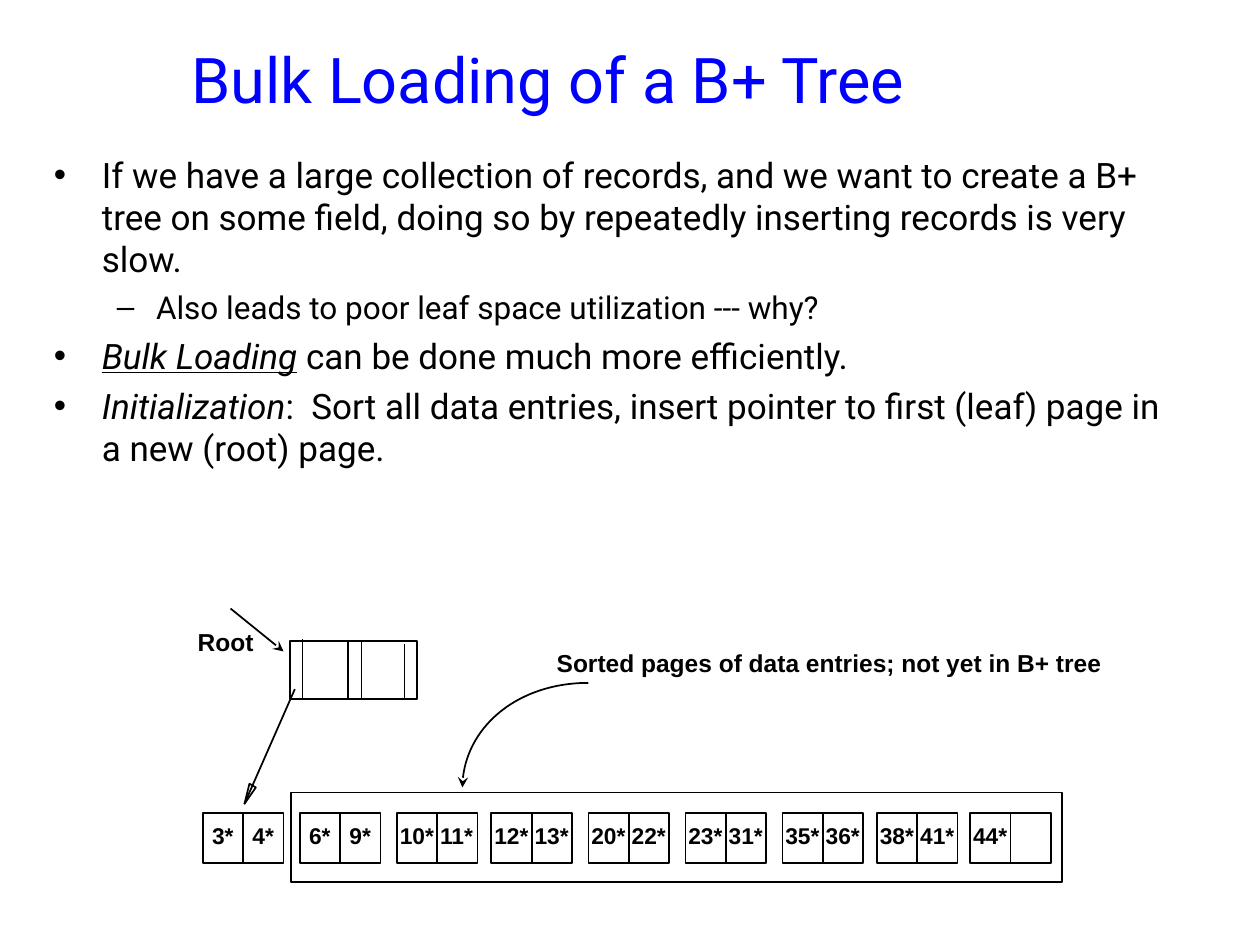
from dataclasses import dataclass

from lxml import etree
from pptx import Presentation
from pptx.dml.color import RGBColor
from pptx.enum.shapes import MSO_CONNECTOR as Conn, MSO_SHAPE as Shape
from pptx.enum.text import MSO_ANCHOR as Anchor, MSO_AUTO_SIZE as AutoSize
from pptx.oxml.ns import qn
from pptx.util import Inches, Pt


@dataclass(frozen=True)
class Theme:
    black: RGBColor = RGBColor(0, 0, 0)
    blue: RGBColor = RGBColor(0, 0, 255)
    text_font: str = "Roboto"
    diagram_font: str = "Arial"
    title: int = 36
    body: int = 20
    sub: int = 18
    label: int = 14
    entry: int = 13
    line: int = 1


T = Theme()

# Runs are (text, italic, underline); each paragraph starts with its level.
BODY = [
    (0, [("If we have a large collection of records, and we want to create a B+ "
          "tree on some field, doing so by repeatedly inserting records is very "
          "slow.", False, False)]),
    (1, [("Also leads to poor leaf space utilization --- why?", False, False)]),
    (0, [("Bulk Loading", True, True), (" ", True, False),
         ("can be done much more efficiently.", False, False)]),
    (0, [("Initialization", True, False),
         (":  Sort all data entries, insert pointer to first (leaf) page in "
          "a new (root) page.", False, False)]),
]
# Bullet, left margin, hanging indent, size, space before
LEVELS = [("•", 0.38, 0.38, T.body, 5), ("–", 0.81, 0.31, T.sub, 4.5)]

# Left edge of each leaf page and its entries
PAGES = [
    (1.61, ["3*", "4*"]), (2.38, ["6*", "9*"]), (3.15, ["10*", "11*"]),
    (3.9, ["12*", "13*"]), (4.67, ["20*", "22*"]), (5.44, ["23*", "31*"]),
    (6.21, ["35*", "36*"]), (6.96, ["38*", "41*"]), (7.7, ["44*"]),
]


def style_run(r, size, font, color=T.black, bold=False):
    r.font.size = Pt(size)
    r.font.name = font
    r.font.color.rgb = color
    r.font.bold = bold


def outline(sp):
    sp.shadow.inherit = False
    sp.fill.background()
    sp.line.color.rgb = T.black
    sp.line.width = Pt(T.line)
    return sp


def add_arrowhead(sp, end):
    etree.SubElement(sp.line._get_or_add_ln(), qn(f"a:{end}"), type="stealth")


def add_rect(s, x, y, w, h):
    return outline(s.shapes.add_shape(
        Shape.RECTANGLE, Inches(x), Inches(y), Inches(w), Inches(h)))


def add_line(s, x1, y1, x2, y2):
    c = s.shapes.add_connector(
        Conn.STRAIGHT, Inches(x1), Inches(y1), Inches(x2), Inches(y2))
    c.line.color.rgb = T.black
    c.line.width = Pt(T.line)
    etree.SubElement(c._element.spPr, qn("a:effectLst"))
    return c


def add_label(s, x, y, w, h, text, size):
    tf = s.shapes.add_textbox(Inches(x), Inches(y), Inches(w), Inches(h)).text_frame
    tf.word_wrap = False
    tf.auto_size = AutoSize.SHAPE_TO_FIT_TEXT
    tf.text = text
    style_run(tf.paragraphs[0].runs[0], size, T.diagram_font, bold=True)


def add_title(s, x, y, w, h):
    tf = s.shapes.add_textbox(Inches(x), Inches(y), Inches(w), Inches(h)).text_frame
    tf.word_wrap = True
    tf.vertical_anchor = Anchor.MIDDLE
    tf.text = "Bulk Loading of a B+ Tree"
    style_run(tf.paragraphs[0].runs[0], T.title, T.text_font, T.blue)


def add_body(s, x, y, w, h):
    tf = s.shapes.add_textbox(Inches(x), Inches(y), Inches(w), Inches(h)).text_frame
    tf.word_wrap = True
    for i, (level, runs) in enumerate(BODY):
        p = tf.add_paragraph() if i else tf.paragraphs[0]
        bullet, margin, hang, size, before = LEVELS[level]
        p.level = level
        p.space_before = Pt(before)
        pPr = p._p.get_or_add_pPr()
        pPr.set("marL", str(Inches(margin)))
        pPr.set("indent", str(-Inches(hang)))
        etree.SubElement(pPr, qn("a:buFont"), typeface=T.diagram_font)
        etree.SubElement(pPr, qn("a:buChar"), char=bullet)
        for text, italic, underline in runs:
            r = p.add_run()
            r.text = text
            style_run(r, size, T.text_font)
            r.font.italic = italic
            r.font.underline = underline


def add_leaf_page(s, x, y, w, h, entries):
    """Draw a two-slot page with each entry centred in its slot."""
    page = add_rect(s, x, y, w, h)
    divider = add_line(s, x + w / 2, y, x + w / 2, y + h)
    divider.begin_connect(page, 0)
    divider.end_connect(page, 2)
    for i, entry in enumerate(entries):
        label_w = 0.17 + 0.1 * len(entry)
        center = x + w * (1 + 2 * i) / 4
        add_label(s, center - label_w / 2, y + 0.02, label_w, 0.32, entry, T.entry)


def add_root(s, x, y, w, h):
    """Draw the root page, its label and the pointer to the first leaf."""
    add_rect(s, x, y, w, h)
    for dx, dy in [(0.1, -0.02), (0.46, 0), (0.57, 0), (0.91, 0.02)]:
        top, bottom = y + dy, y + min(h, 0.45 + max(dy, 0))
        add_line(s, x + dx, top, x + dx, bottom)
    add_label(s, x - 0.83, y - 0.16, 0.65, 0.33, "Root", T.label)
    add_arrowhead(add_line(s, x - 0.47, y - 0.26, x - 0.05, y + 0.08), "tailEnd")

    tip_x, tip_y = x - 0.36, y + 1.29
    add_line(s, x + 0.04, y + 0.38, tip_x, tip_y)
    fb = s.shapes.build_freeform(Inches(tip_x), Inches(tip_y))
    fb.add_line_segments([(Inches(tip_x + 0.04), Inches(tip_y - 0.16)),
                          (Inches(tip_x + 0.09), Inches(tip_y - 0.13))], close=True)
    outline(fb.convert_to_shape())


def add_curved_arrow(s, x, y, w, h):
    """Draw a quarter ellipse from top right to an arrowhead at bottom left."""
    fb = s.shapes.build_freeform(Inches(x), Inches(y + h))
    fb.add_line_segments([(Inches(x + w), Inches(y))], close=False)
    sp = outline(fb.convert_to_shape())
    segment = sp._element.find(".//" + qn("a:lnTo"))
    segment.tag = qn("a:cubicBezTo")
    controls = [(0, 0.45 * h), (0.45 * w, 0)]
    for i, (cx, cy) in enumerate(controls):
        segment.insert(i, etree.Element(
            qn("a:pt"), x=str(Inches(cx)), y=str(Inches(cy))))
    add_arrowhead(sp, "headEnd")


def add_sorted_pages(s, x, y, w, h):
    """Draw the leaf pages and the frame round those not yet in the tree."""
    add_rect(s, x, y, w, h)
    for left, entries in PAGES:
        add_leaf_page(s, left, y + 0.16, 0.64, 0.4, entries)
    add_label(s, x + 2.01, y - 1.2, 4.53, 0.33,
              "Sorted pages of data entries; not yet in B+ tree", T.label)
    add_curved_arrow(s, x + 1.36, y - 0.87, 1, 0.83)


def main():
    prs = Presentation()
    prs.slide_width, prs.slide_height = Inches(10), Inches(7.5)
    s = prs.slides.add_slide(prs.slide_layouts[6])
    add_title(s, 1.42, 0, 7.83, 1.25)
    add_body(s, 0.33, 1.17, 9.08, 4.46)
    add_root(s, 2.3, 5.09, 1.01, 0.46)
    add_sorted_pages(s, 2.31, 6.29, 6.12, 0.71)
    prs.save("out.pptx")


if __name__ == "__main__":
    main()
